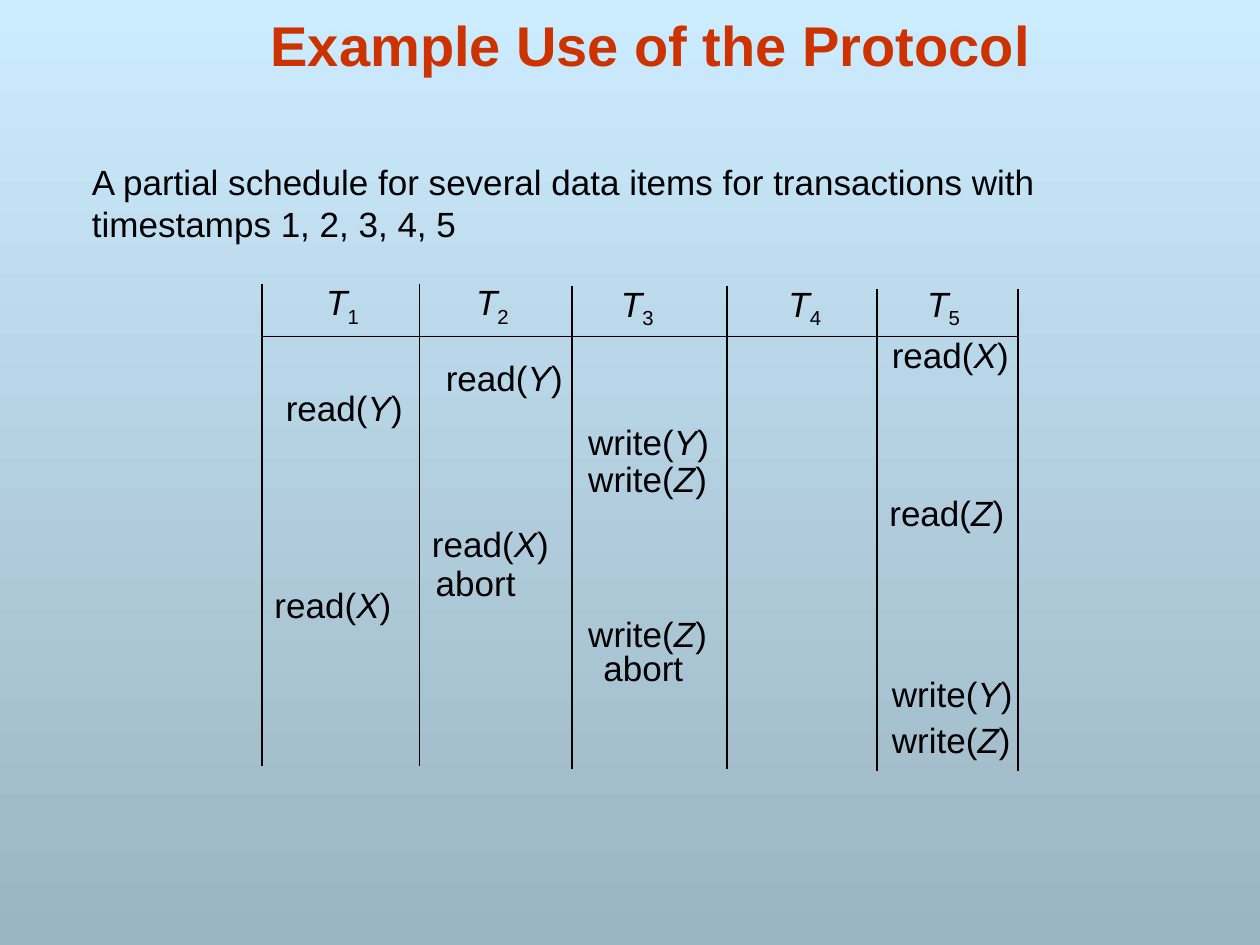
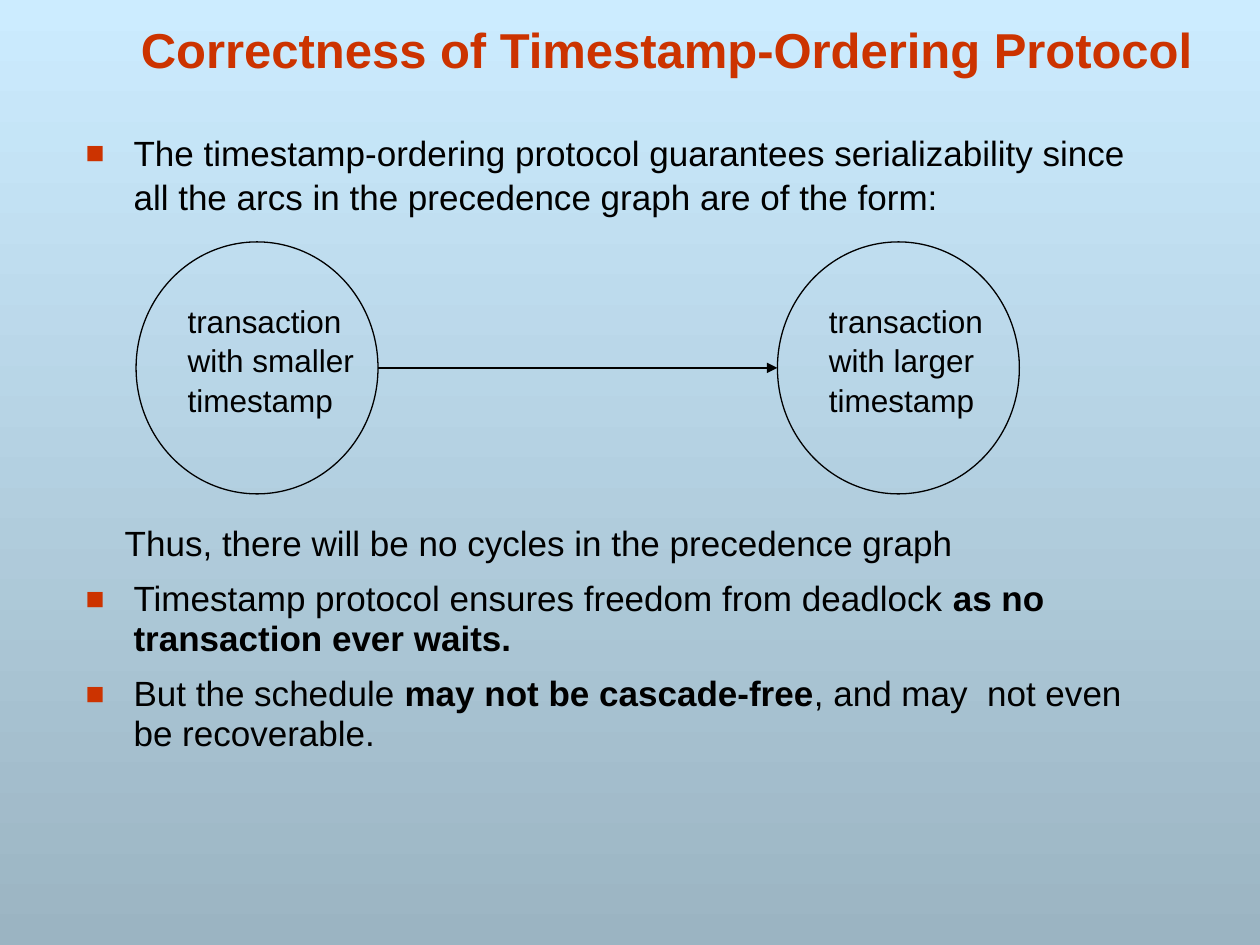
from dataclasses import dataclass
from typing import NamedTuple

from lxml import etree
from pptx import Presentation
from pptx.dml.color import RGBColor
from pptx.enum import shapes, text
from pptx.oxml import ns
from pptx.util import Inches, Pt

FONT = "Arial"
RED = RGBColor(0xCC, 0x33, 0x00)
BLACK = RGBColor(0x00, 0x00, 0x00)
SKY = RGBColor(0xCC, 0xEC, 0xFF)
SLATE = RGBColor(0x9B, 0xB4, 0xC2)
LINE_WIDTH = Pt(0.75)
BODY_SIZE = 20


class Run(NamedTuple):
    words: str
    bold: bool = False
    italic: bool = False
    subscript: bool = False


@dataclass
class Box:
    left: float
    top: float
    width: float
    height: float

    def lengths(self):
        return [Inches(n) for n in (self.left, self.top, self.width, self.height)]


@dataclass
class BodyParagraph:
    runs: list[Run]
    bullet: bool = False
    margin: float = 0
    before: float = 0
    spacing: float = 1.0


@dataclass
class Operation:
    action: str
    item: str
    left: float
    top: float
    width: float


@dataclass
class Transaction:
    label: str
    left: float


# Schedule: one ruled column per transaction
COLUMN_LINES = [(2.08, 2.25), (3.33, 2.25), (4.54, 2.27),
                (5.77, 2.27), (6.96, 2.29), (8.08, 2.29)]
COLUMN_HEIGHT = 3.83
HEADER_LINE = 2.67
HEADINGS = [(2.49, 2.18), (3.68, 2.18), (4.83, 2.19), (6.16, 2.19), (7.26, 2.19)]
OPERATIONS = [
    Operation("read", "X", 6.98, 2.6, 1.2),
    Operation("read", "Y", 3.44, 2.78, 1.13),
    Operation("read", "Y", 2.17, 3.02, 1.13),
    Operation("write", "Y", 4.57, 3.29, 1.23),
    Operation("write", "Z", 4.57, 3.58, 1.22),
    Operation("read", "Z", 6.96, 3.85, 1.19),
    Operation("read", "X", 3.33, 4.1, 1.2),
    Operation("abort", "", 3.36, 4.41, 0.99),
    Operation("read", "X", 2.08, 4.58, 1.2),
    Operation("write", "Z", 4.57, 4.81, 1.22),
    Operation("abort", "", 4.69, 5.08, 0.99),
    Operation("write", "Y", 6.98, 5.29, 1.23),
    Operation("write", "Z", 6.98, 5.65, 1.3),
]

# Precedence graph: two nodes joined by an arc
NODE_WIDTH, NODE_HEIGHT, NODE_TOP = 1.92, 2, 1.92
ARC_TOP = 2.92
NODES = [Transaction("smaller", 1.08), Transaction("larger", 6.17)]


def add_element(parent, tag: str, **attributes: str):
    element = etree.SubElement(parent, ns.qn(tag))
    for name, value in attributes.items():
        element.set(name, value)
    return element


def set_font(paragraph, size: float, color: RGBColor = BLACK, bold: bool = False) -> None:
    font = paragraph.font
    font.name, font.size, font.bold = FONT, Pt(size), bold
    font.color.rgb = color


def add_runs(paragraph, runs: list[Run]) -> None:
    for part in runs:
        run = paragraph.add_run()
        run.text = part.words
        if part.bold:
            run.font.bold = True
        if part.italic:
            run.font.italic = True
        if part.subscript:
            run._r.get_or_add_rPr().set("baseline", "-25000")


def set_bullet(paragraph, bullet: bool, margin: float) -> None:
    properties = paragraph._p.get_or_add_pPr()
    properties.set("marL", str(Inches(margin)))
    properties.set("indent", str(-Inches(margin) if bullet else 0))
    if not bullet:
        add_element(properties, "a:buNone")
        return
    color = add_element(properties, "a:buClr")
    add_element(color, "a:srgbClr", val=str(RED))
    add_element(properties, "a:buSzPct", val="90000")
    add_element(properties, "a:buFont", typeface=FONT)
    add_element(properties, "a:buChar", char="■")


def place(shape, box: Box) -> None:
    shape.left, shape.top, shape.width, shape.height = box.lengths()


def add_slide(presentation, title: str, title_size: float, title_box: Box,
              body_box: Box, body: list[BodyParagraph]):
    slide = presentation.slides.add_slide(presentation.slide_layouts[1])

    # Title
    heading = slide.shapes.title
    place(heading, title_box)
    frame = heading.text_frame
    frame.auto_size = text.MSO_AUTO_SIZE.NONE
    frame.vertical_anchor = text.MSO_ANCHOR.BOTTOM
    frame.text = title
    frame.paragraphs[0].alignment = text.PP_ALIGN.CENTER
    set_font(frame.paragraphs[0], title_size, RED, bold=True)

    # Body
    holder = slide.placeholders[1]
    place(holder, body_box)
    frame = holder.text_frame
    frame.auto_size = text.MSO_AUTO_SIZE.NONE
    for index, content in enumerate(body):
        paragraph = frame.add_paragraph() if index else frame.paragraphs[0]
        paragraph.space_before = Pt(content.before)
        paragraph.line_spacing = content.spacing
        set_bullet(paragraph, content.bullet, content.margin)
        set_font(paragraph, BODY_SIZE)
        add_runs(paragraph, content.runs)
    return slide


def add_label(slide, box: Box, lines: list[list[Run]], size: float = BODY_SIZE,
              spacing: float = 1.0) -> None:
    frame = slide.shapes.add_textbox(*box.lengths()).text_frame
    frame.word_wrap = False
    frame.auto_size = text.MSO_AUTO_SIZE.SHAPE_TO_FIT_TEXT
    for index, runs in enumerate(lines):
        paragraph = frame.add_paragraph() if index else frame.paragraphs[0]
        paragraph.line_spacing = spacing
        set_font(paragraph, size)
        add_runs(paragraph, runs)


def add_line(slide, start: tuple[float, float], end: tuple[float, float],
             arrow: bool = False) -> None:
    points = [Inches(n) for n in (*start, *end)]
    connector = slide.shapes.add_connector(shapes.MSO_CONNECTOR.STRAIGHT, *points)
    connector.line.color.rgb = BLACK
    connector.line.width = LINE_WIDTH
    if arrow:
        add_element(connector.line._get_or_add_ln(), "a:tailEnd", type="triangle")
    add_element(connector._element.spPr, "a:effectLst")


def add_node(slide, node: Transaction) -> None:
    box = Box(node.left, NODE_TOP, NODE_WIDTH, NODE_HEIGHT)
    circle = slide.shapes.add_shape(shapes.MSO_SHAPE.OVAL, *box.lengths())
    circle.shadow.inherit = False
    circle.fill.background()
    circle.line.color.rgb = BLACK
    circle.line.width = LINE_WIDTH
    lines = ["transaction", f"with {node.label}", "timestamp"]
    add_label(slide, Box(node.left + 0.31, 2.33, 1.52, 1),
              [[Run(line)] for line in lines], size=18, spacing=1.05)


def build_schedule(presentation) -> None:
    slide = add_slide(
        presentation, "Example Use of the Protocol", 32,
        Box(0.75, 0, 8.83, 0.67), Box(0.63, 1.22, 8.96, 5.33),
        [BodyParagraph([Run("A partial schedule for several data items for "
                            "transactions with timestamps 1, 2, 3, 4, 5")])])

    # Rules
    for left, top in COLUMN_LINES:
        add_line(slide, (left, top), (left, top + COLUMN_HEIGHT))
    add_line(slide, (COLUMN_LINES[0][0], HEADER_LINE), (COLUMN_LINES[-1][0], HEADER_LINE))

    # Headings and operations
    for number, (left, top) in enumerate(HEADINGS, start=1):
        add_label(slide, Box(left, top, 0.46, 0.48),
                  [[Run("T", italic=True), Run(str(number), subscript=True)]])
    for operation in OPERATIONS:
        runs = [Run(operation.action)]
        if operation.item:
            runs = [Run(operation.action + "("), Run(operation.item, italic=True), Run(")")]
        add_label(slide, Box(operation.left, operation.top, operation.width, 0.44), [runs])


def build_correctness(presentation) -> None:
    body = [
        BodyParagraph([Run("The timestamp-ordering protocol guarantees serializability since "
                           "all the arcs in the precedence graph are of the form:")],
                      bullet=True, margin=0.38, spacing=1.05),
        BodyParagraph([Run("Thus, there will be no cycles in the precedence graph")],
                      margin=0.31, before=172.5, spacing=1.05),
        BodyParagraph([Run("Timestamp protocol ensures freedom from deadlock "),
                       Run("as no transaction ever waits.", bold=True)],
                      bullet=True, margin=0.38, before=8.8, spacing=0.95),
        BodyParagraph([Run("But the schedule "), Run("may not be cascade-free", bold=True),
                       Run(", and may  not even be recoverable.")],
                      bullet=True, margin=0.38, before=8.8, spacing=0.95),
    ]
    slide = add_slide(presentation, "Correctness of Timestamp-Ordering Protocol", 28,
                      Box(0.58, 0, 9.42, 0.67), Box(0.58, 0.98, 8.62, 5.78), body)

    # Graph
    for node in NODES:
        add_node(slide, node)
    add_line(slide, (NODES[0].left + NODE_WIDTH, ARC_TOP), (NODES[1].left, ARC_TOP), arrow=True)


def main() -> None:
    presentation = Presentation()
    presentation.slide_width, presentation.slide_height = Inches(10), Inches(7.5)

    # Shared background
    fill = presentation.slide_master.background.fill
    fill.gradient()
    fill.gradient_angle = 270
    for stop, color in zip(fill.gradient_stops, (SKY, SLATE)):
        stop.color.rgb = color

    build_schedule(presentation)
    build_correctness(presentation)
    presentation.save("out.pptx")


if __name__ == "__main__":
    main()
